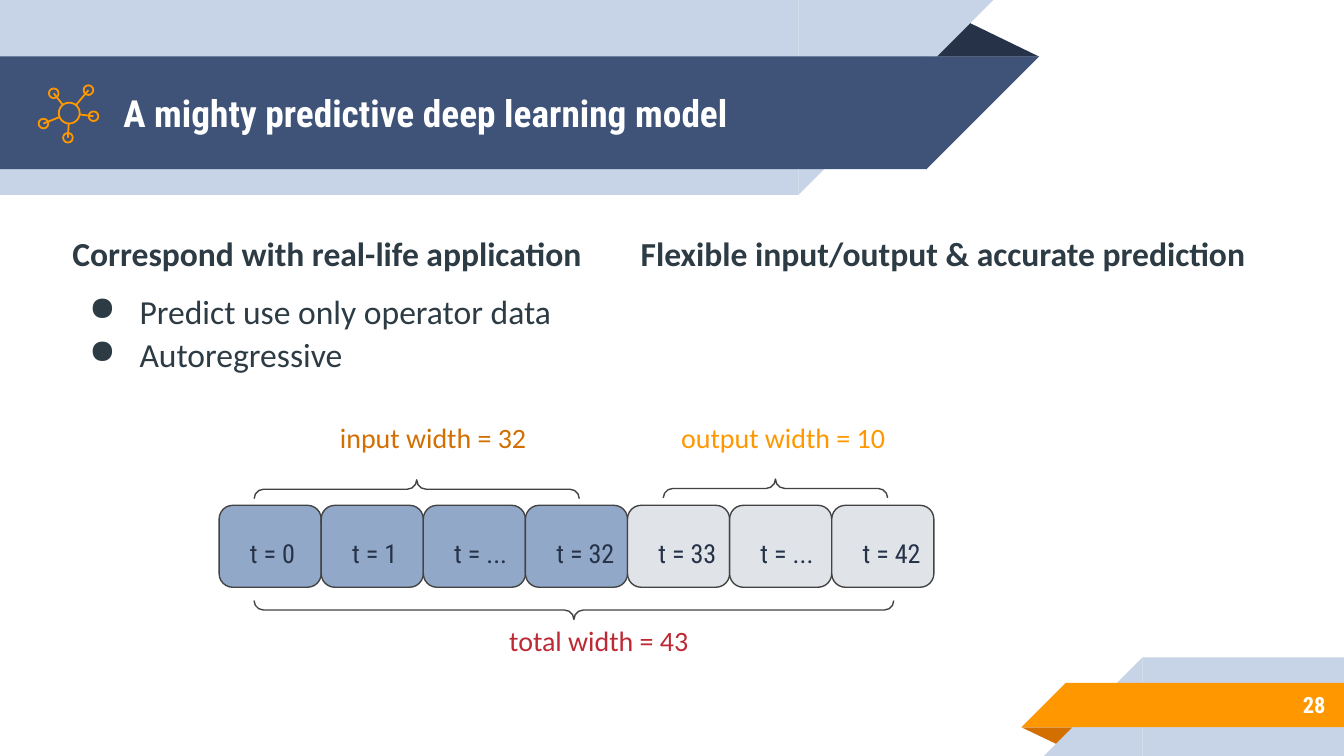
import math
import lxml.etree
import pptx
import pptx.dml.color
import pptx.enum.shapes
import pptx.enum.text
import pptx.oxml.ns
import pptx.util

Pt = pptx.util.Pt
RGBColor = pptx.dml.color.RGBColor
Shape = pptx.enum.shapes.MSO_SHAPE
Anchor = pptx.enum.text.MSO_ANCHOR
Align = pptx.enum.text.PP_ALIGN
qn = pptx.oxml.ns.qn

NAVY = RGBColor(0x26, 0x32, 0x48)
BLUE = RGBColor(0x3F, 0x53, 0x78)
PALE = RGBColor(0xC7, 0xD3, 0xE6)
STEEL = RGBColor(0x92, 0xA8, 0xC8)
GREY = RGBColor(0xE0, 0xE4, 0xE9)
DARK = RGBColor(0x43, 0x43, 0x43)
SLATE = RGBColor(0x2D, 0x3B, 0x45)
GOLD = RGBColor(0xFF, 0x98, 0x00)
RUST = RGBColor(0xD2, 0x6F, 0x00)
RED = RGBColor(0xBD, 0x2A, 0x35)
WHITE = RGBColor(0xFF, 0xFF, 0xFF)
HEAD = "Roboto Condensed"
BODY = "Calibri"

deck = pptx.Presentation()
deck.slide_width = Pt(720)
deck.slide_height = Pt(405)
slide = deck.slides.add_slide(deck.slide_layouts[6])


def draw(kind, x, y, w, h, fill=None, line=None, weight=0.75, turn=0, flip=False):
    shape = slide.shapes.add_shape(kind, Pt(x), Pt(y), Pt(w), Pt(h))
    shape.shadow.inherit = False
    shape.rotation = turn
    if flip:
        shape.element.spPr.xfrm.set("flipH", "1")
    if fill is None:
        shape.fill.background()
    else:
        shape.fill.solid()
        shape.fill.fore_color.rgb = fill
    if line is None:
        shape.line.fill.background()
    else:
        shape.line.color.rgb = line
        shape.line.width = Pt(weight)
    return shape


def write(para, text, font, size, color, bold=False, align=Align.LEFT):
    para.alignment = align
    run = para.add_run()
    run.text = text
    run.font.name = font
    run.font.size = Pt(size)
    run.font.bold = bold
    run.font.color.rgb = color


peak = draw(Shape.ISOSCELES_TRIANGLE, 495.4, 10.1, 61.2, 20.2, NAVY)
peak.adjustments[0] = 0.32
for y, w, h, fill in [(0, 427.7, 104.4, PALE), (30.2, 496.2, 60.5, BLUE)]:
    draw(Shape.RECTANGLE, 0, y, w, h, fill)
    draw(Shape.RIGHT_TRIANGLE, w, y, h, h, fill, turn=180, flip=True)

peak = draw(Shape.ISOSCELES_TRIANGLE, 547.2, 389.6, 31, 10.1, RUST, turn=180)
peak.adjustments[0] = 0.32
for x, y, h, fill in [(612, 352.2, 52.8, PALE), (571, 365.8, 23.8, GOLD)]:
    draw(Shape.RECTANGLE, x, y, 720 - x, h, fill)
    draw(Shape.RIGHT_TRIANGLE, x - h, y, h, h, fill, flip=True)

for x, y, w, h, pad, mid, text, font, size, color, bold, align in [
    (59, 30.2, 344.2, 60.5, 7.2, True, "A mighty predictive deep learning model", HEAD, 20, WHITE, True, Align.LEFT),
    (599.8, 365.1, 117.4, 25.2, 7.2, True, "28", HEAD, 12, WHITE, True, Align.RIGHT),
    (31.7, 119.5, 410.4, 87.1, 3.6, False, "Correspond with real-life application", BODY, 18, SLATE, True, Align.LEFT),
    (336.2, 115.9, 352.8, 53.3, 7.2, False, "Flexible input/output & accurate prediction", BODY, 18, SLATE, True, Align.LEFT),
    (175, 220.3, 157.7, 35.3, 3.6, False, "input width = 32", BODY, 15, RUST, False, Align.LEFT),
    (357.8, 220.3, 157.7, 35.3, 3.6, False, "output width = 10", BODY, 15, GOLD, False, Align.LEFT),
    (265.7, 329, 157.7, 35.3, 3.6, False, "total width = 43", BODY, 15, RED, False, Align.LEFT),
]:
    frame = slide.shapes.add_textbox(Pt(x), Pt(y), Pt(w), Pt(h)).text_frame
    frame.word_wrap = True
    frame.vertical_anchor = Anchor.MIDDLE if mid else Anchor.TOP
    frame.margin_top = frame.margin_bottom = Pt(pad)
    para = frame.paragraphs[0]
    if font == BODY:
        para.line_spacing = 1.07
    write(para, text, font, size, color, bold, align)
    if not text.startswith("Correspond"):
        continue
    for item, space in [("Predict use only operator data", 8), ("Autoregressive", 0)]:
        para = frame.add_paragraph()
        props = para._p.get_or_add_pPr()
        props.set("marL", str(Pt(36)))
        props.set("indent", str(Pt(-27)))
        tint = lxml.etree.SubElement(props, qn("a:buClr"))
        lxml.etree.SubElement(tint, qn("a:srgbClr")).set("val", str(SLATE))
        lxml.etree.SubElement(props, qn("a:buChar")).set("char", "●")
        para.line_spacing = 1.07
        para.space_before = Pt(space)
        write(para, item, BODY, 18, SLATE)

steps = ["0", "1", "...", "32", "33", "...", "42"]
for i, step in enumerate(steps):
    tile = draw(Shape.ROUNDED_RECTANGLE, 117.4 + 54.7 * i, 270.7, 54.7, 43.9, STEEL if i < 4 else GREY, DARK)
    frame = tile.text_frame
    frame.word_wrap = False
    frame.vertical_anchor = Anchor.TOP
    frame.margin_left = Pt(14.4)
    frame.margin_top = Pt(15.1)
    frame.margin_right = frame.margin_bottom = 0
    write(frame.paragraphs[0], f"t = {step}", HEAD, 14, NAVY)

for x, y, h, turn in [(218.2, 175, 174.2, 270), (410.4, 201.6, 120.2, 270), (302.4, 155.5, 342.7, 90)]:
    brace = draw(Shape.RIGHT_BRACE, x, y, 10.1, h, line=DARK, turn=turn)
    brace.adjustments[0] = 0.5

hub_x, hub_y, hub_r, dot_r = 37.1, 60.6, 5.6, 2.6
draw(Shape.OVAL, hub_x - hub_r, hub_y - hub_r, 2 * hub_r, 2 * hub_r, line=GOLD, weight=0.96)
for x, y in [(47.4, 48.3), (28.8, 50), (23.3, 66.2), (36.4, 73.8), (50.1, 62.3)]:
    draw(Shape.OVAL, x - dot_r, y - dot_r, 2 * dot_r, 2 * dot_r, line=GOLD, weight=0.96)
    part = hub_r / math.hypot(x - hub_x, y - hub_y)
    end_x = hub_x + part * (x - hub_x)
    end_y = hub_y + part * (y - hub_y)
    link = slide.shapes.add_connector(
        pptx.enum.shapes.MSO_CONNECTOR.STRAIGHT, Pt(x), Pt(y), Pt(end_x), Pt(end_y))
    link.line.color.rgb = GOLD
    link.line.width = Pt(0.96)
    lxml.etree.SubElement(link.element.spPr, qn("a:effectLst"))

deck.save("out.pptx")
